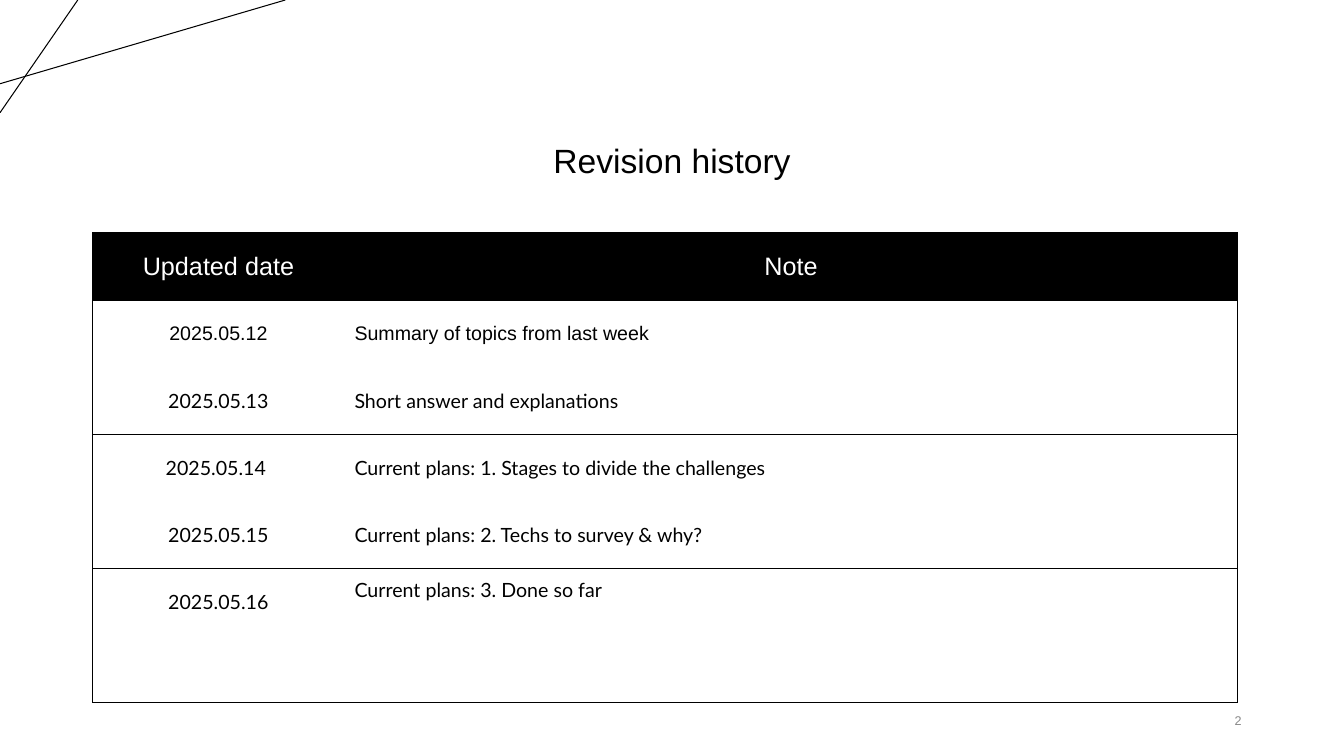
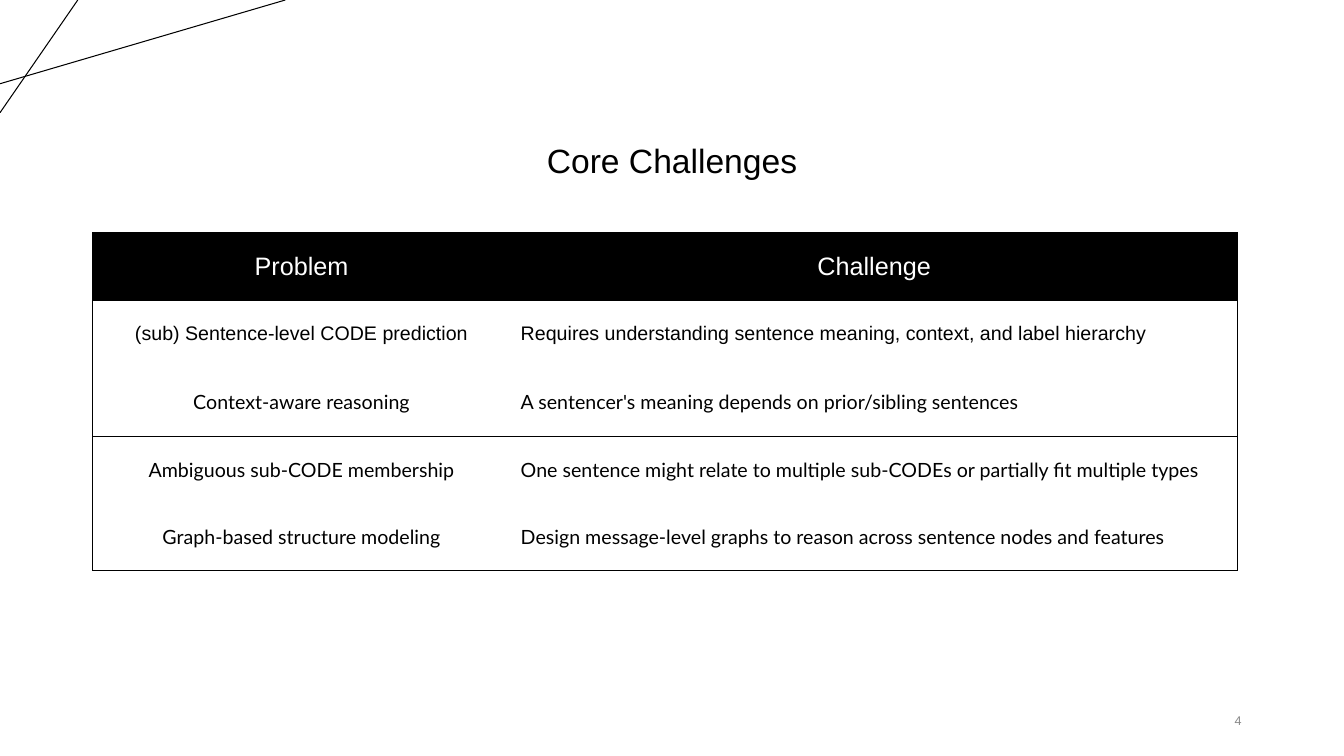
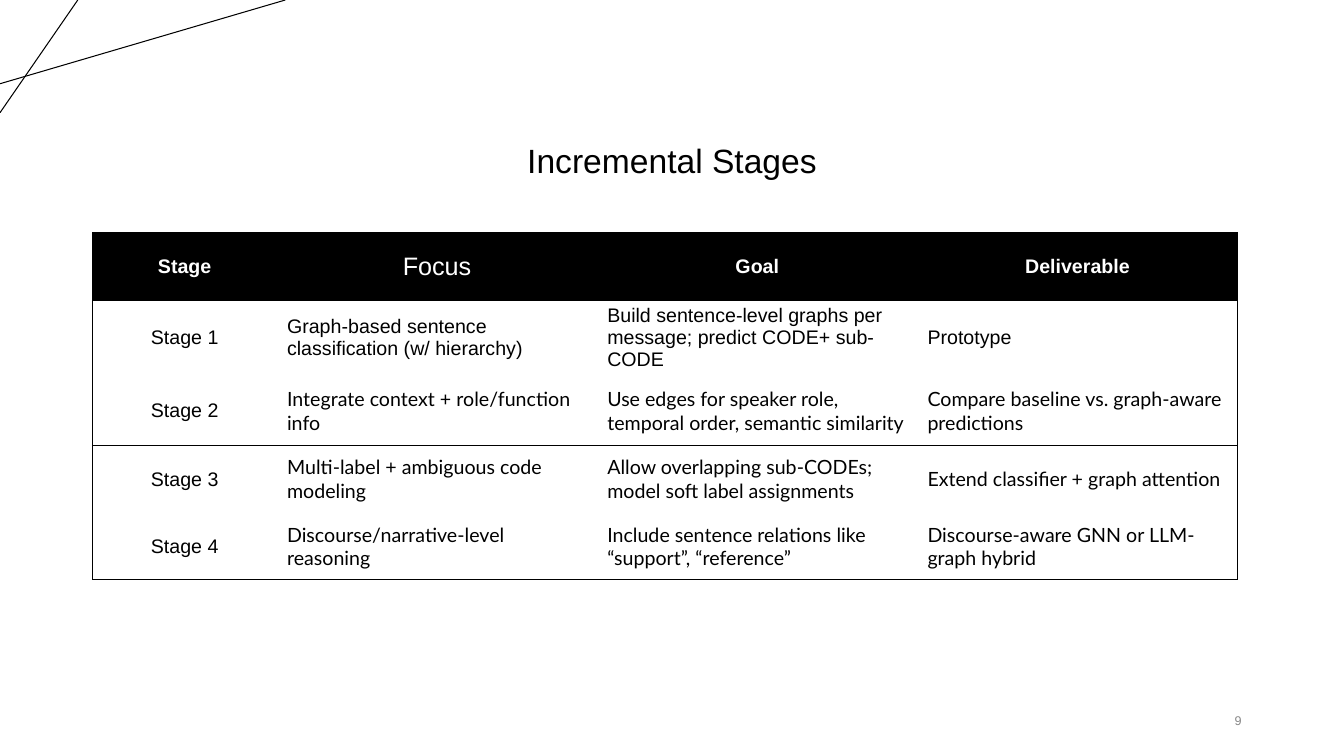
from dataclasses import dataclass

from pptx import Presentation
from pptx.dml.color import RGBColor
from pptx.enum.shapes import MSO_CONNECTOR as Connector
from pptx.enum.text import MSO_ANCHOR as Anchor, MSO_AUTO_SIZE as AutoSize, PP_ALIGN as Align
from pptx.oxml.ns import qn
from pptx.util import Cm, Pt
from lxml.etree import SubElement


# Theme
@dataclass(frozen=True)
class Theme:
    ink: str = "000000"
    paper: str = "FFFFFF"
    muted: str = "888888"
    head_font: str = "Arial"
    body_font: str = "Lato"
    title_size: int = 24
    header_size: int = 18
    body_size: int = 14
    number_size: int = 9
    line_width: float = 0.75


THEME = Theme()

# Shared geometry in centimetres
SLIDE_SIZE = (33.87, 19.05)
TITLE_BOX = (2.33, 0.99, 29.21, 3.68)
NUMBER_BOX = (28.8, 17.65, 2.74, 1.01)
CORNER_LINES = [(0, 2.11, 7.19, 0), (1.96, 0, 0, 2.84)]
TABLE_LEFT, TABLE_TOP, TABLE_WIDTH = 2.33, 5.87, 28.86
ROW_HEIGHT, TALL_ROW_HEIGHT = 1.69, 1.75
RAISED_MARGIN = 0.73

# Content
SLIDES = [
    {
        "title": "Revision history",
        "number": "2",
        "first_column": 6.35,
        "rows": [
            ("Updated date", "Note"),
            ("2025.05.12", "Summary of topics from last week"),
            ("2025.05.13", "Short answer and explanations"),
            ("2025.05.14 ", "Current plans: 1. Stages to divide the challenges"),
            ("2025.05.15", "Current plans: 2. Techs to survey & why?"),
            ("2025.05.16", "Current plans: 3. Done so far"),
            ("", ""),
        ],
        "raised_cell": (5, 1),
    },
    {
        "title": "Core Challenges",
        "number": "4",
        "first_column": 10.54,
        "tall_row": 2,
        "rows": [
            ("Problem", "Challenge"),
            ("(sub) Sentence-level CODE prediction",
             "Requires understanding sentence meaning, context, and label hierarchy"),
            ("Context-aware reasoning",
             "A sentencer's meaning depends on prior/sibling sentences"),
            ("Ambiguous sub-CODE membership",
             "One sentence might relate to multiple sub-CODEs or partially fit multiple types"),
            ("Graph-based structure modeling",
             "Design message-level graphs to reason across sentence nodes and features"),
        ],
    },
    {
        "title": "Incremental Stages",
        "number": "9",
        "first_column": 4.65,
        "tall_row": 2,
        "bold_headers": {"Stage", "Goal", "Deliverable"},
        "head_font_column": True,
        "rows": [
            ("Stage", "Focus", "Goal", "Deliverable"),
            ("Stage 1", "Graph-based sentence classification (w/ hierarchy)",
             "Build sentence-level graphs per message; predict CODE+ sub-CODE", "Prototype"),
            ("Stage 2", "Integrate context + role/function info",
             "Use edges for speaker role, temporal order, semantic similarity",
             "Compare baseline vs. graph-aware predictions"),
            ("Stage 3", "Multi-label + ambiguous code modeling",
             "Allow overlapping sub-CODEs; model soft label assignments",
             "Extend classifier + graph attention"),
            ("Stage 4", "Discourse/narrative-level reasoning",
             "Include sentence relations like “support”, “reference”",
             "Discourse-aware GNN or LLM-graph hybrid"),
        ],
    },
]


def write_text(frame, text, *, size, font=THEME.head_font, color=THEME.ink,
               bold=False, align=Align.LEFT, spacing=1.0):
    paragraph = frame.paragraphs[0]
    paragraph.alignment = align
    paragraph.line_spacing = spacing
    run = paragraph.add_run()
    run.text = text
    run.font.name = font
    run.font.size = Pt(size)
    run.font.bold = bold
    run.font.color.rgb = RGBColor.from_string(color)


def set_borders(cell, visible):
    """Draw the named sides of a cell and clear the others."""
    properties = cell._tc.get_or_add_tcPr()
    for side in "LRTB":
        line = SubElement(properties, qn(f"a:ln{side}"), w=str(Pt(THEME.line_width)))
        if side in visible:
            fill = SubElement(line, qn("a:solidFill"))
            SubElement(fill, qn("a:srgbClr"), val=THEME.ink)
        else:
            SubElement(line, qn("a:noFill"))


def prepare_layout(layout):
    title = layout.placeholders[0]
    title.left, title.top, title.width, title.height = map(Cm, TITLE_BOX)
    title.text_frame.vertical_anchor = Anchor.BOTTOM
    title.text_frame.auto_size = AutoSize.NONE


def add_corner_lines(slide, layout):
    """Draw the corner lines and hand them to the layout shared by all slides."""
    for shape_id, ends in enumerate(CORNER_LINES, start=101):
        connector = slide.shapes.add_connector(Connector.STRAIGHT, *map(Cm, ends))
        connector.line.color.rgb = RGBColor.from_string(THEME.ink)
        connector.line.width = Pt(THEME.line_width)
        element = connector._element
        SubElement(element.spPr, qn("a:effectLst"))
        element.nvCxnSpPr.cNvPr.set("id", str(shape_id))
        layout.shapes._spTree.append(element)


def cell_format(content, row, column, text):
    if row == 0:
        bold = text in content.get("bold_headers", ())
        return {"size": THEME.body_size if bold else THEME.header_size,
                "color": THEME.paper, "bold": bold, "align": Align.CENTER}
    in_head_font = row == 1 or (column == 0 and content.get("head_font_column"))
    return {"size": THEME.body_size,
            "font": THEME.head_font if in_head_font else THEME.body_font,
            "align": Align.CENTER if column == 0 else Align.LEFT}


def add_content_table(slide, content):
    rows = content["rows"]
    last_column = len(rows[0]) - 1
    heights = [TALL_ROW_HEIGHT if row == content.get("tall_row") else ROW_HEIGHT
               for row in range(len(rows))]
    table = slide.shapes.add_table(
        len(rows), len(rows[0]), Cm(TABLE_LEFT), Cm(TABLE_TOP),
        Cm(TABLE_WIDTH), Cm(sum(heights))).table
    table.first_row = table.horz_banding = False

    other_width = (TABLE_WIDTH - content["first_column"]) / last_column
    for index, column in enumerate(table.columns):
        column.width = Cm(other_width if index else content["first_column"])

    for row, texts in enumerate(rows):
        table.rows[row].height = Cm(heights[row])
        for column, text in enumerate(texts):
            cell = table.cell(row, column)
            cell.vertical_anchor = Anchor.MIDDLE
            # A rule closes the header and every second row after it
            sides = "B" if row % 2 == 0 else "T"
            sides += "T" if row == 0 else ""
            sides += "L" if column == 0 else ""
            sides += "R" if column == last_column else ""
            set_borders(cell, sides)
            if row == 0:
                cell.fill.solid()
                cell.fill.fore_color.rgb = RGBColor.from_string(THEME.ink)
            else:
                cell.fill.background()
            if (row, column) == content.get("raised_cell"):
                cell.margin_bottom = Cm(RAISED_MARGIN)
            if text:
                write_text(cell.text_frame, text, **cell_format(content, row, column, text))


def add_slide_number(slide, number):
    frame = slide.shapes.add_textbox(*map(Cm, NUMBER_BOX)).text_frame
    frame.word_wrap = True
    frame.vertical_anchor = Anchor.MIDDLE
    write_text(frame, number, size=THEME.number_size, color=THEME.muted, align=Align.RIGHT)


def main():
    presentation = Presentation()
    presentation.slide_width, presentation.slide_height = map(Cm, SLIDE_SIZE)
    layout = presentation.slide_layouts.get_by_name("Title Only")
    prepare_layout(layout)
    for index, content in enumerate(SLIDES):
        slide = presentation.slides.add_slide(layout)
        if index == 0:
            add_corner_lines(slide, layout)
        write_text(slide.shapes.title.text_frame, content["title"],
                   size=THEME.title_size, align=Align.CENTER, spacing=0.9)
        add_content_table(slide, content)
        add_slide_number(slide, content["number"])
    presentation.save("out.pptx")


if __name__ == "__main__":
    main()
